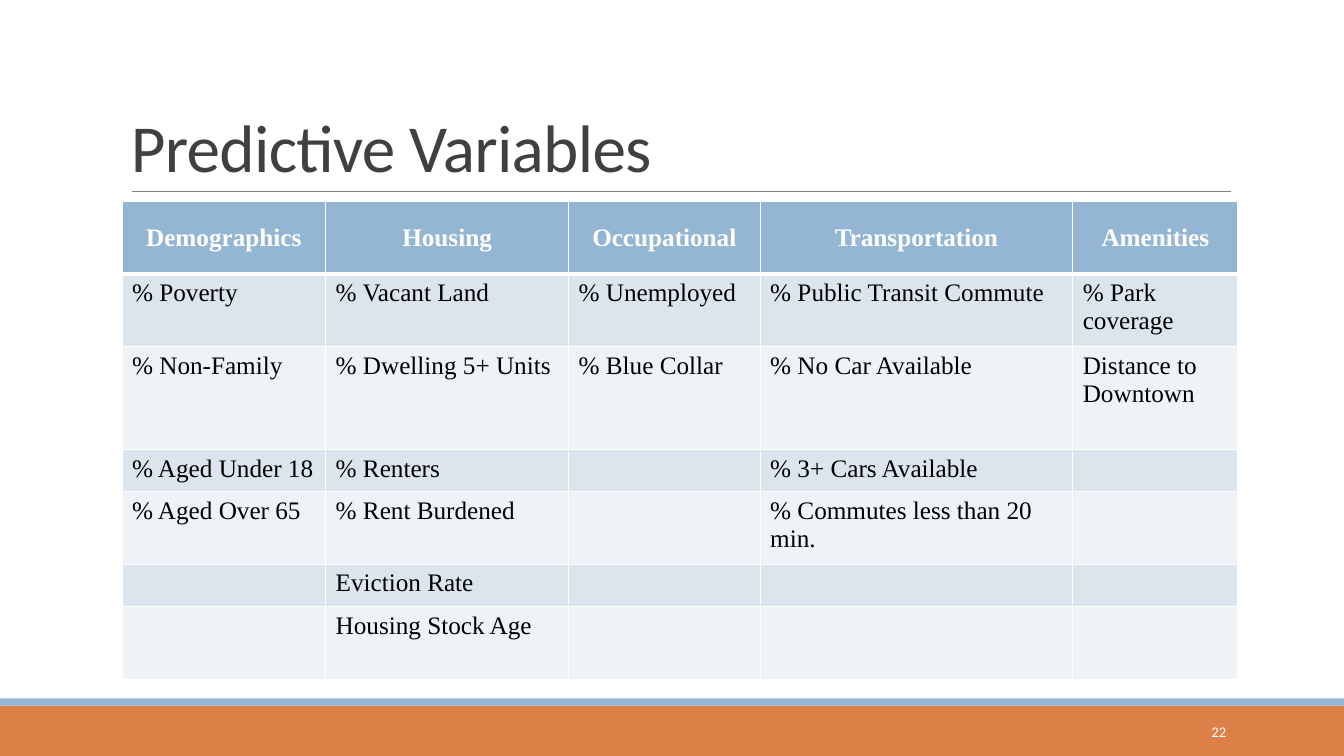
import pptx
import pptx.util
import pptx.dml.color
import pptx.enum.shapes
import pptx.enum.text
import pptx.oxml.ns
from lxml import etree

Inches, Pt = pptx.util.Inches, pptx.util.Pt
RGBColor = pptx.dml.color.RGBColor
ALIGN = pptx.enum.text.PP_ALIGN
ANCHOR = pptx.enum.text.MSO_ANCHOR
qn = pptx.oxml.ns.qn

# Content
TITLE = "Predictive Variables"
PAGE_NUMBER = "22"
VARIABLES = {
    "Demographics": ["% Poverty", "% Non-Family", "% Aged Under 18", "% Aged Over 65"],
    "Housing": ["% Vacant Land", "% Dwelling 5+ Units", "% Renters",
                "% Rent Burdened", "Eviction Rate", "Housing Stock Age"],
    "Occupational": ["% Unemployed", "% Blue Collar"],
    "Transportation": ["% Public Transit Commute", "% No Car Available",
                       "% 3+ Cars Available", "% Commutes less than 20 min."],
    "Amenities": ["% Park coverage", "Distance to Downtown"],
}
COLUMN_WIDTHS = [2.02, 2.41, 1.9, 3.1, 1.64]
ROW_HEIGHTS = [0.72, 0.72, 1.02, 0.42, 0.72, 0.42, 0.72]

# Colours and fonts
WHITE = RGBColor(0xFF, 0xFF, 0xFF)
BLACK = RGBColor(0, 0, 0)
ORANGE = RGBColor(0xDD, 0x80, 0x47)
BLUE = RGBColor(0x94, 0xB6, 0xD2)
BAND_DARK = RGBColor(0xDC, 0xE5, 0xEE)
BAND_LIGHT = RGBColor(0xEE, 0xF3, 0xF7)
GREY = RGBColor(0x80, 0x80, 0x80)
TITLE_GREY = RGBColor(0x40, 0x40, 0x40)
SANS, SERIF = "Calibri", "Times New Roman"


def add_run(paragraph, text, font_name, size, color, bold=False):
    run = paragraph.add_run()
    run.text = text
    run.font.name = font_name
    run.font.size = Pt(size)
    run.font.color.rgb = color
    run.font.bold = bold
    return run


def add_bar(slide, top, height, color):
    bar = slide.shapes.add_shape(pptx.enum.shapes.MSO_SHAPE.RECTANGLE, 0,
                                 Inches(top), Inches(13.33), Inches(height))
    bar.shadow.inherit = False
    bar.fill.solid()
    bar.fill.fore_color.rgb = color
    bar.line.fill.background()


def add_text(slide, left, top, width, height, anchor):
    frame = slide.shapes.add_textbox(Inches(left), Inches(top),
                                     Inches(width), Inches(height)).text_frame
    frame.word_wrap = True
    frame.vertical_anchor = anchor
    return frame.paragraphs[0]


def set_borders(cell, bottom_width):
    properties = cell._tc.get_or_add_tcPr()
    widths = {"a:lnL": 1, "a:lnR": 1, "a:lnT": 1, "a:lnB": bottom_width}
    for position, (side, width) in enumerate(widths.items()):
        border = etree.Element(qn(side), w=str(Pt(width)))
        fill = etree.SubElement(border, qn("a:solidFill"))
        etree.SubElement(fill, qn("a:srgbClr"), val=str(WHITE))
        properties.insert(position, border)


def add_variables_table(slide):
    table = slide.shapes.add_table(
        len(ROW_HEIGHTS), len(COLUMN_WIDTHS), Inches(1.21), Inches(2),
        Inches(sum(COLUMN_WIDTHS)), Inches(sum(ROW_HEIGHTS))).table
    table.first_row = table.horz_banding = False
    for row, height in zip(table.rows, ROW_HEIGHTS):
        row.height = Inches(height)
    for column, width in zip(table.columns, COLUMN_WIDTHS):
        column.width = Inches(width)

    for c, (category, variables) in enumerate(VARIABLES.items()):
        entries = [category] + variables
        for r in range(len(ROW_HEIGHTS)):
            cell = table.cell(r, c)
            header = r == 0
            cell.fill.solid()
            cell.fill.fore_color.rgb = (BLUE if header else
                                        BAND_DARK if r % 2 else BAND_LIGHT)
            # The header has a thick rule below it
            set_borders(cell, 3 if header else 1)
            paragraph = cell.text_frame.paragraphs[0]
            if header:
                cell.vertical_anchor = ANCHOR.MIDDLE
                paragraph.alignment = ALIGN.CENTER
            if r < len(entries):
                add_run(paragraph, entries[r], SERIF, 18,
                        WHITE if header else BLACK, header)


def main():
    deck = pptx.Presentation()
    deck.slide_width, deck.slide_height = Inches(13.33), Inches(7.5)
    slide = deck.slides.add_slide(deck.slide_layouts[6])

    # Footer bars
    add_bar(slide, 7, 0.5, ORANGE)
    add_bar(slide, 6.93, 0.07, BLUE)

    # Title and its rule
    rule = slide.shapes.add_connector(
        pptx.enum.shapes.MSO_CONNECTOR.STRAIGHT,
        Inches(1.31), Inches(1.9), Inches(12.21), Inches(1.9))
    rule.line.color.rgb = GREY
    rule.line.width = Pt(0.5)
    etree.SubElement(rule._element.spPr, qn("a:effectLst"))
    title = add_text(slide, 1.2, 0.31, 11, 1.59, ANCHOR.BOTTOM)
    title.line_spacing = 0.85
    title_run = add_run(title, TITLE, SANS, 48, TITLE_GREY)
    title_run.font._element.set("spc", "-50")

    # Table of variables by category
    add_variables_table(slide)

    # Page number
    page = add_text(slide, 10.83, 7.06, 1.43, 0.4, ANCHOR.MIDDLE)
    page.alignment = ALIGN.RIGHT
    add_run(page, PAGE_NUMBER, SANS, 10.5, WHITE)

    deck.save("out.pptx")


if __name__ == "__main__":
    main()
